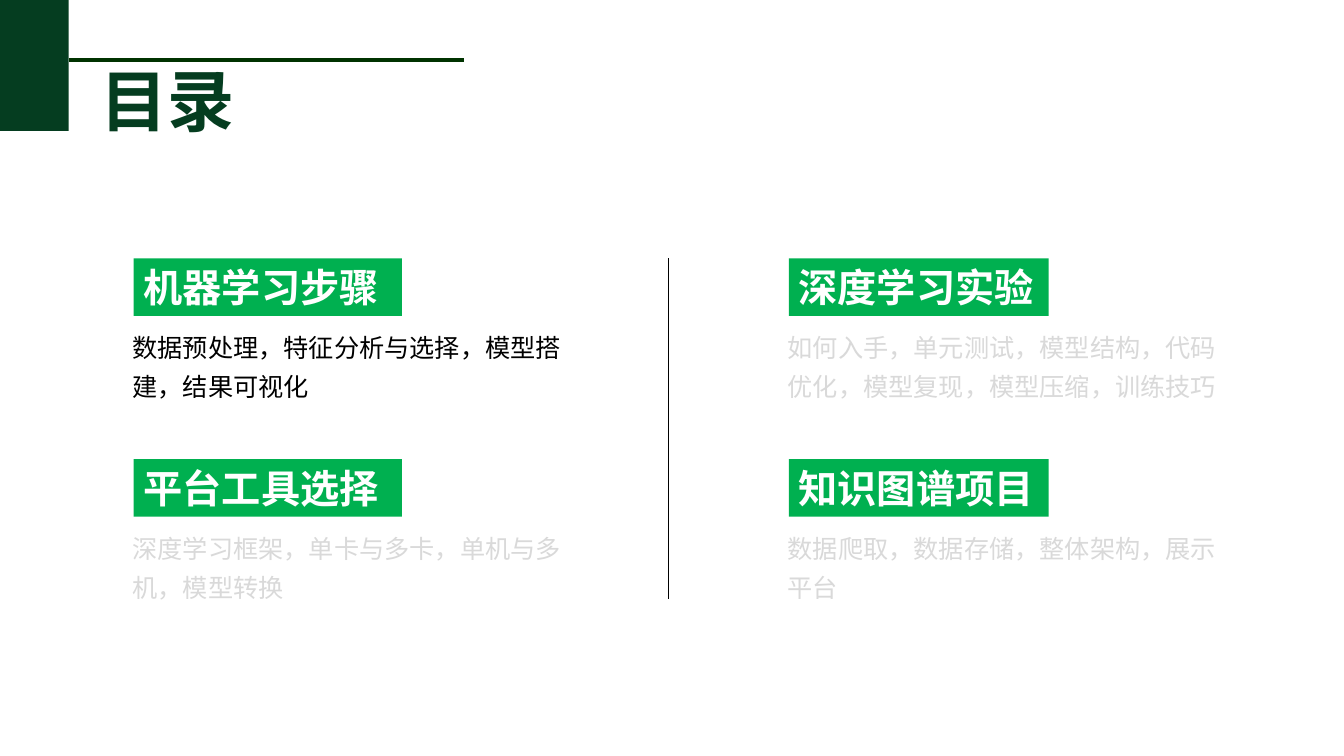
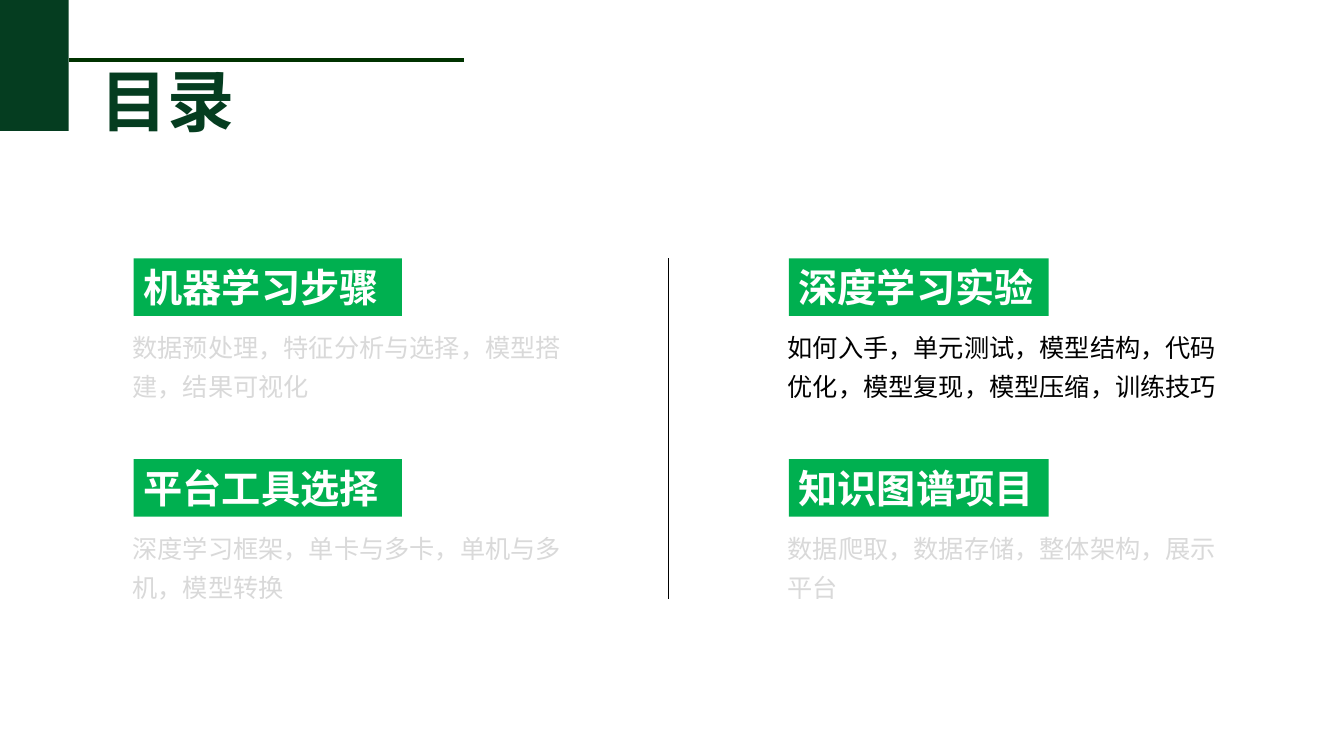
import pptx
import pptx.dml.color
import pptx.enum.shapes
import pptx.enum.text
import pptx.oxml.ns
import pptx.util
from lxml import etree

Cm = pptx.util.Cm
Pt = pptx.util.Pt

DARK_GREEN = "053D20"
RULE_GREEN = "003300"
GREEN = "00B050"
WHITE = "FFFFFF"
BLACK = "000000"
MUTED = "D9D9D9"

LATIN_FONT = "Calibri"
CHINESE_FONT = "Noto Sans CJK SC"

TITLE = "目录"
GRID_LEFT, GRID_TOP = 3.37, 6.51
COLUMN_STEP, ROW_STEP = 16.51, 5.06
HEADING_WIDTHS = (6.76, 6.55)

# Heading and description, row by row
TOPICS = (
    ("机器学习步骤", "数据预处理，特征分析与选择，模型搭建，结果可视化"),
    ("深度学习实验",
     "如何入手，单元测试，模型结构，代码优化，模型复现，模型压缩，训练技巧"),
    ("平台工具选择", "深度学习框架，单卡与多卡，单机与多机，模型转换"),
    ("知识图谱项目", "数据爬取，数据存储，整体架构，展示平台"),
)


def color(value):
    return pptx.dml.color.RGBColor.from_string(value)


def write(box, text, size, fill, font=LATIN_FONT, bold=False, spacing=None,
          anchor=pptx.enum.text.MSO_ANCHOR.TOP):
    """Put one left-aligned paragraph into a box."""
    frame = box.text_frame
    frame.auto_size = pptx.enum.text.MSO_AUTO_SIZE.NONE
    frame.word_wrap = True
    frame.vertical_anchor = anchor
    para = frame.paragraphs[0]
    para.alignment = pptx.enum.text.PP_ALIGN.LEFT
    if spacing:
        para.line_spacing = spacing
    span = para.add_run()
    span.text = text
    span.font.size = Pt(size)
    span.font.bold = bold
    span.font.color.rgb = color(fill)
    span.font.name = font
    latin = box.element.find(".//" + pptx.oxml.ns.qn("a:latin"))
    east_asian = etree.Element(pptx.oxml.ns.qn("a:ea"), typeface=CHINESE_FONT)
    latin.addnext(east_asian)


def add_band(page, left, top, width, height, fill):
    band = page.shapes.add_shape(
        pptx.enum.shapes.MSO_SHAPE.RECTANGLE,
        Cm(left), Cm(top), Cm(width), Cm(height))
    band.shadow.inherit = False
    band.fill.solid()
    band.fill.fore_color.rgb = color(fill)
    band.line.fill.background()
    return band


def add_rule(page, start, end, fill, weight):
    rule = page.shapes.add_connector(
        pptx.enum.shapes.MSO_CONNECTOR.STRAIGHT,
        Cm(start[0]), Cm(start[1]), Cm(end[0]), Cm(end[1]))
    rule.line.color.rgb = color(fill)
    rule.line.width = Pt(weight)
    etree.SubElement(rule.element.spPr, pptx.oxml.ns.qn("a:effectLst"))


def add_header(page):
    add_band(page, 0, 0, 1.73, 3.3, DARK_GREEN)
    add_rule(page, (1.73, 1.51), (11.7, 1.51), RULE_GREEN, 3)
    title = page.shapes.title
    title.left, title.top = Cm(2.28), Cm(1.37)
    title.width, title.height = Cm(3.94), Cm(2.31)
    write(title, TITLE, 48, DARK_GREEN, bold=True)


def add_topic(page, left, top, heading_width, heading, description, fill):
    band = add_band(page, left, top, heading_width, 1.45, GREEN)
    write(band, heading, 28, WHITE, bold=True,
          anchor=pptx.enum.text.MSO_ANCHOR.MIDDLE)
    box = page.shapes.add_textbox(
        Cm(left - 0.28), Cm(top + 1.51), Cm(11.53), Cm(2.26))
    write(box, description, 18, fill, font=CHINESE_FONT, spacing=1.3)


def add_contents_page(deck, active):
    """Add the contents slide with the topic at index active in black."""
    page = deck.slides.add_slide(deck.slide_layouts[5])
    add_header(page)
    for index, (heading, description) in enumerate(TOPICS):
        row, column = divmod(index, 2)
        add_topic(page, GRID_LEFT + column * COLUMN_STEP,
                  GRID_TOP + row * ROW_STEP, HEADING_WIDTHS[column],
                  heading, description,
                  BLACK if index == active else MUTED)
    add_rule(page, (16.84, GRID_TOP), (16.84, 15.1), BLACK, 1)


def main():
    deck = pptx.Presentation()
    deck.slide_width, deck.slide_height = Cm(33.87), Cm(19.05)
    for active in (0, 1):
        add_contents_page(deck, active)
    deck.save("out.pptx")


if __name__ == "__main__":
    main()
